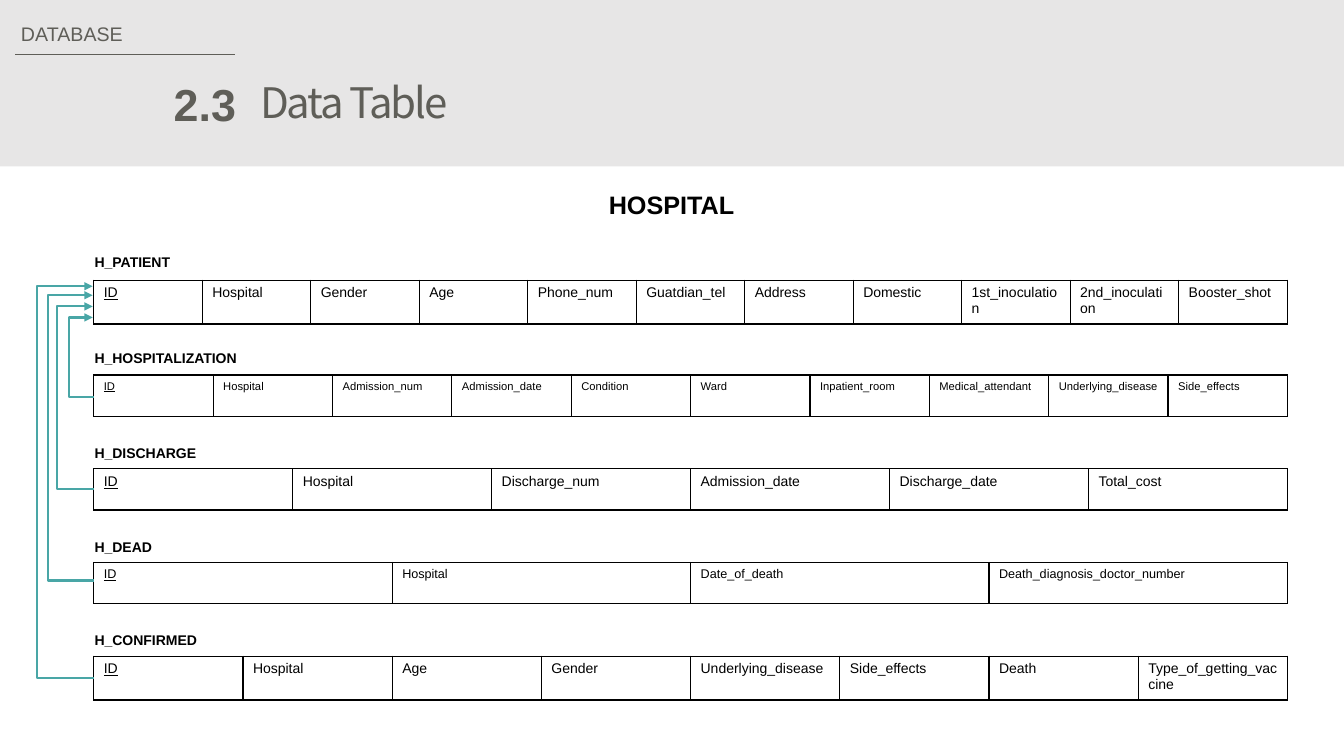
from dataclasses import dataclass
from lxml import etree
from pptx import Presentation
from pptx import util as u
from pptx.dml.color import RGBColor
from pptx.enum import shapes, text
from pptx.oxml import parse_xml
from pptx.oxml.ns import nsdecls, qn


@dataclass(frozen=True)
class Theme:
    font: str = "Arial"
    title_font: str = "Noto Sans CJK KR"
    ink: str = "000000"
    muted: str = "5F5E58"
    band: str = "E7E6E6"
    link: str = "49A6A6"
    section: int = 14
    number: int = 32
    title: int = 30
    heading: int = 18
    label: int = 10


def write(tf, content, font="Arial", size=10, color="000000", bold=False,
          underline=False, align=text.PP_ALIGN.LEFT, spacing=None):
    p = tf.paragraphs[0]
    p.alignment = align
    r = p.add_run()
    r.text = content
    f = r.font
    f.name, f.size, f.bold, f.underline = font, u.Pt(size), bold, underline
    f.color.rgb = RGBColor.from_string(color)
    rPr = r._r.get_or_add_rPr()
    etree.SubElement(rPr, qn("a:ea")).set("typeface", font)
    if spacing is not None:
        rPr.set("spc", str(round(spacing * 100)))


class Deck:
    """Draws styled elements on the current slide."""

    def __init__(self, theme):
        self.theme = theme
        self.prs = Presentation()
        self.prs.slide_width = u.Inches(13.33)
        self.prs.slide_height = u.Inches(7.5)
        self.s = self.prs.slides.add_slide(self.prs.slide_layouts[5])

    def rect(self, x, y, w, h, color):
        sp = self.s.shapes.add_shape(shapes.MSO_SHAPE.RECTANGLE, *map(u.Inches, (x, y, w, h)))
        sp.shadow.inherit = False
        sp.fill.solid()
        sp.fill.fore_color.rgb = RGBColor.from_string(color)
        sp.line.fill.background()

    def title(self, x, y, w, h, content):
        sp = self.s.shapes.title
        sp.left, sp.top, sp.width, sp.height = map(u.Inches, (x, y, w, h))
        tf = sp.text_frame
        tf.word_wrap = False
        tf.auto_size = text.MSO_AUTO_SIZE.NONE
        tf.vertical_anchor = text.MSO_ANCHOR.TOP
        write(tf, content, font=self.theme.title_font, size=self.theme.title,
              color=self.theme.muted, spacing=-1.5)
        self.s.shapes._spTree.append(sp._element)

    def label(self, x, y, w, h, content, wrap=False, **fmt):
        tf = self.s.shapes.add_textbox(*map(u.Inches, (x, y, w, h))).text_frame
        tf.word_wrap = wrap
        write(tf, content, font=self.theme.font, **fmt)

    def table(self, x, y, w, h, fields, size):
        t = self.s.shapes.add_table(1, len(fields), *map(u.Inches, (x, y, w, h))).table
        t.first_row = t.horz_banding = False
        for i, field in enumerate(fields):
            t.columns[i].width = u.Inches(w / len(fields))
            cell = t.cell(0, i)
            write(cell.text_frame, field, font=self.theme.font, size=size,
                  color=self.theme.ink, underline=i == 0)
            cell.fill.background()
            tcPr = cell._tc.get_or_add_tcPr()
            for n, side in enumerate("LRTB"):
                tcPr.insert(n, parse_xml(
                    f'<a:ln{side} {nsdecls("a")} w="12700"><a:solidFill>'
                    f'<a:srgbClr val="{self.theme.ink}"/></a:solidFill></a:ln{side}>'))

    def connector(self, x1, y1, x2, y2, color, width, kind=shapes.MSO_CONNECTOR.STRAIGHT):
        c = self.s.shapes.add_connector(kind, *map(u.Inches, (x1, y1, x2, y2)))
        c.line.color.rgb = RGBColor.from_string(color)
        c.line.width = u.Pt(width)
        etree.SubElement(c._element.spPr, qn("a:effectLst"))
        return c

    def elbow_arrow(self, x1, y1, x2, y2, via):
        c = self.connector(x1, y1, x2, y2, self.theme.link, 1.5, shapes.MSO_CONNECTOR.ELBOW)
        gd = etree.SubElement(c._element.spPr.prstGeom.get_or_add_avLst(), qn("a:gd"))
        gd.set("name", "adj1")
        gd.set("fmla", f"val {round((via - x1) / (x2 - x1) * 100000)}")
        etree.SubElement(c.line._get_or_add_ln(), qn("a:tailEnd")).set("type", "triangle")


TABLES = [
    ("H_PATIENT", 2.47, 2.78, 10,
     "ID Hospital Gender Age Phone_num Guatdian_tel Address Domestic "
     "1st_inoculation 2nd_inoculation Booster_shot"),
    ("H_HOSPITALIZATION", 3.42, 3.72, 8,
     "ID Hospital Admission_num Admission_date Condition Ward Inpatient_room "
     "Medical_attendant Underlying_disease Side_effects"),
    ("H_DISCHARGE", 4.36, 4.65, 10,
     "ID Hospital Discharge_num Admission_date Discharge_date Total_cost"),
    ("H_DEAD", 5.29, 5.58, 9,
     "ID Hospital Date_of_death Death_diagnosis_doctor_number"),
    ("H_CONFIRMED", 6.22, 6.51, 10,
     "ID Hospital Age Gender Underlying_disease Side_effects Death Type_of_getting_vaccine"),
]
LINKS = [(3.94, 3.15, 0.68), (4.85, 3.04, 0.56), (5.76, 2.93, 0.47), (6.73, 2.84, 0.36)]


def main():
    th = Theme()
    d = Deck(th)
    d.rect(0, 0, 13.33, 1.65, th.band)
    d.connector(0.15, 0.54, 2.33, 0.54, th.muted, 0.5)
    d.label(0.11, 0.17, 1.22, 0.34, "DATABASE", size=th.section, color=th.muted)
    d.label(1.62, 0.71, 0.82, 0.64, "2.3", size=th.number, color=th.muted, bold=True,
            align=text.PP_ALIGN.RIGHT)
    d.title(2.48, 0.71, 2.11, 0.61, "Data Table")
    d.label(5.94, 1.83, 1.46, 0.4, "HOSPITAL", size=th.heading, color=th.ink, bold=True)
    for name, label_y, table_y, size, fields in TABLES:
        d.label(0.84, label_y, 1.94, 0.27, name, wrap=True, size=th.label,
                color=th.ink, bold=True)
        d.table(0.93, table_y, 11.84, 0.41, fields.split(), size)
    for start_y, end_y, via in LINKS:
        d.elbow_arrow(0.93, start_y, 0.92, end_y, via)
    d.prs.save("out.pptx")


if __name__ == "__main__":
    main()
